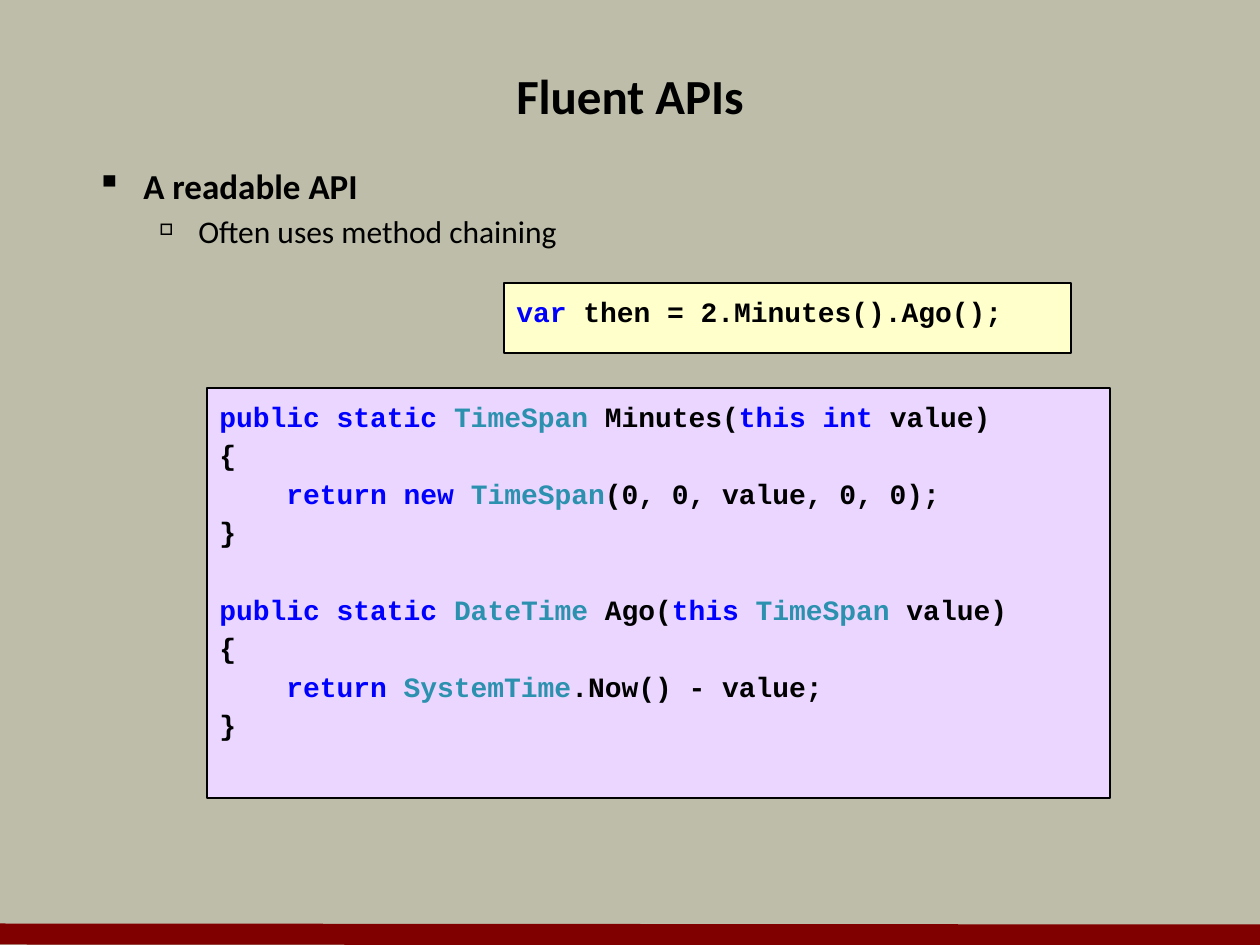
from lxml.etree import SubElement
from pptx import Presentation
from pptx.dml.color import RGBColor as Rgb
from pptx.enum.shapes import MSO_CONNECTOR as Link, MSO_SHAPE as Shape
from pptx.enum.text import MSO_ANCHOR as Anchor, PP_ALIGN as Align
from pptx.oxml.ns import qn
from pptx.util import Pt

SCALE = 914400 / 126
COLORS = {
    "back": "BDBDA9", "bar": "800000", "text": "000000",
    "keyword": "0000FF", "type": "2B91AF",
    "method": "EAD6FF", "call": "FFFFCC",
}


def px(*values):
    return [round(value * SCALE) for value in values]


def add_span(para, text, color="text", **formats):
    span = para.add_run()
    span.text = text
    span.font.color.rgb = Rgb.from_string(COLORS[color])
    for name, value in formats.items():
        setattr(span.font, name, value)


deck = Presentation()
deck.slide_width, deck.slide_height = px(1260, 945)
page = deck.slides.add_slide(deck.slide_layouts[6])
page.background.fill.solid()
page.background.fill.fore_color.rgb = Rgb.from_string(COLORS["back"])

bar = page.shapes.add_connector(Link.STRAIGHT, *px(0, 934, 1260, 935))
bar.line.color.rgb = Rgb.from_string(COLORS["bar"])
bar.line.width = Pt(12)
SubElement(bar._element.spPr, qn("a:effectLst"))

title = page.shapes.add_textbox(*px(63, 42, 1134, 105)).text_frame
title.word_wrap = True
title.vertical_anchor = Anchor.MIDDLE
title.paragraphs[0].alignment = Align.CENTER
add_span(title.paragraphs[0], "Fluent APIs", name="Calibri", size=Pt(28), bold=True)

body = page.shapes.add_textbox(*px(84, 158, 1134, 620)).text_frame
body.word_wrap = True
points = [
    ("A readable API", "▪", 100, 47, 47, 0, 20, True),
    ("Often uses method chaining", "□", 50, 102, 39, 1, 18, False),
]
for index, (text, mark, percent, margin, hang, level, size, bold) in enumerate(points):
    para = body.add_paragraph() if index else body.paragraphs[0]
    para.level = level
    if index:
        para.space_before = Pt(size * 0.2)
    props = para._p.get_or_add_pPr()
    props.set("marL", str(px(margin)[0]))
    props.set("indent", str(px(-hang)[0]))
    SubElement(props, qn("a:buSzPct"), val=str(percent * 1000))
    SubElement(props, qn("a:buChar"), char=mark)
    add_span(para, text, name="Calibri", size=Pt(size), bold=bold)

method_lines = [
    [("public static ", "keyword"), ("TimeSpan", "type"), (" Minutes(", "text"),
     ("this int", "keyword"), (" value)", "text")],
    [("{", "text")],
    [("    ", "text"), ("return new ", "keyword"), ("TimeSpan", "type"),
     ("(0, 0, value, 0, 0);", "text")],
    [("}", "text")],
    [("public static ", "keyword"), ("DateTime", "type"), (" Ago(", "text"),
     ("this ", "keyword"), ("TimeSpan", "type"), (" value)", "text")],
    [("{", "text")],
    [("    ", "text"), ("return ", "keyword"), ("SystemTime", "type"),
     (".Now() - value;", "text")],
    [("}", "text")],
]
call_lines = [[("var ", "keyword"), ("then = 2.Minutes().Ago();", "text")]]

for fill, place, lines in [
    ("method", (207, 388, 903, 410), method_lines),
    ("call", (504, 283, 567, 70), call_lines),
]:
    box = page.shapes.add_shape(Shape.RECTANGLE, *px(*place))
    box.shadow.inherit = False
    box.fill.solid()
    box.fill.fore_color.rgb = Rgb.from_string(COLORS[fill])
    box.line.color.rgb = Rgb.from_string(COLORS["text"])
    box.line.width = Pt(0.75)
    frame = box.text_frame
    frame.word_wrap = True
    frame.vertical_anchor = Anchor.TOP
    for index, line in enumerate(lines):
        para = frame.add_paragraph() if index else frame.paragraphs[0]
        para.alignment = Align.LEFT
        para.line_spacing = 1.15
        if index and line[0][0].startswith("public"):
            para.space_before = Pt(22)
        for text, color in line:
            add_span(para, text, color, name="Courier New", size=Pt(16), bold=True)

deck.save("out.pptx")
